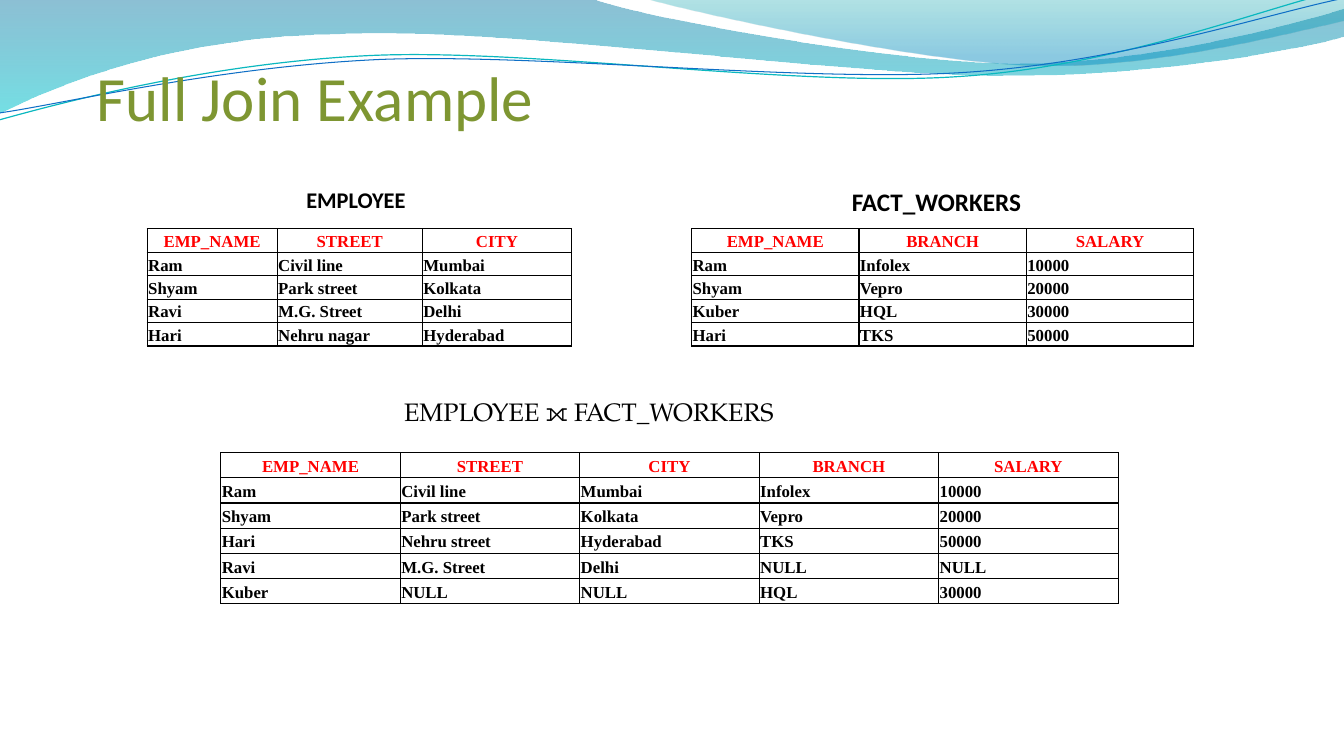
from lxml import etree
from pptx import Presentation
from pptx import util as u
from pptx.dml.color import RGBColor
from pptx.enum import text
from pptx.oxml import ns

# Content
TITLE = "Full Join Example"
EMPLOYEE = [
    ("EMP_NAME", "STREET", "CITY"),
    ("Ram", "Civil line", "Mumbai"),
    ("Shyam", "Park street", "Kolkata"),
    ("Ravi", "M.G. Street", "Delhi"),
    ("Hari", "Nehru nagar", "Hyderabad"),
]
FACT_WORKERS = [
    ("EMP_NAME", "BRANCH", "SALARY"),
    ("Ram", "Infolex", "10000"),
    ("Shyam", "Vepro", "20000"),
    ("Kuber", "HQL", "30000"),
    ("Hari", "TKS", "50000"),
]
FULL_JOIN = [
    ("EMP_NAME", "STREET", "CITY", "BRANCH", "SALARY"),
    ("Ram", "Civil line", "Mumbai", "Infolex", "10000"),
    ("Shyam", "Park street", "Kolkata", "Vepro", "20000"),
    ("Hari", "Nehru street", "Hyderabad", "TKS", "50000"),
    ("Ravi", "M.G. Street", "Delhi", "NULL", "NULL"),
    ("Kuber", "NULL", "NULL", "HQL", "30000"),
]

THEME = {
    "title": ("Calibri", 45, "7E9632", False),
    "employee": ("Calibri", 16, "000000", True),
    "workers": ("Calibri", 18, "000000", True),
    "join": ("TeX Gyre Pagella", 18, "000000", False),
    "header": ("Times New Roman", 12, "FF0000", True),
    "cell": ("Times New Roman", 12, "000000", True),
    "border": "000000",
}

# Places in inches: left, top, column widths, row height
TABLES = [
    (EMPLOYEE, 1.46, 2.27, [1.29, 1.44, 1.48], 0.23),
    (FACT_WORKERS, 6.86, 2.27, [1.66] * 3, 0.23),
    (FULL_JOIN, 2.19, 4.49, [1.78] * 5, 0.25),
]
# Wording, style, box, anchor, wrap
LABELS = [
    ("EMPLOYEE", "employee", (2.94, 1.79, 1.81, 0.37), text.MSO_ANCHOR.MIDDLE, True),
    ("EMPLOYEE ⟗ FACT_WORKERS", "join", (3.91, 3.88, 5.75, 0.44), text.MSO_ANCHOR.TOP, True),
    ("FACT_WORKERS", "workers", (8.35, 1.8, 1.9, 0.4), text.MSO_ANCHOR.TOP, False),
]

# Wave outlines: a pair is a straight step, six numbers are a Bezier step
# Gradient stops: position, colour, opacity in percent
BANDS = [
    ([(0, 0), (5.87, -0.01), (6.34, 0.17, 8.85, 0.63, 10.11, 0.63),
      (11.38, 0.63, 12.78, 0.26, 13.33, 0.09), (13.35, 0.36),
      (13.11, 0.44, 11.6, 0.76, 9.94, 0.75), (8.29, 0.75, 5.09, 0.28, 3.43, 0.34),
      (1.72, 0.36, 0.61, 0.83, -0.01, 1.13)],
     [(0, "0074A1", 45), (1, "00C6CF", 55)]),
    ([(6.39, -0.01), (6.79, 0.11, 9.09, 0.62, 10.25, 0.65),
      (11.41, 0.69, 12.82, 0.32, 13.33, 0.21), (13.33, 0)],
     [(0, "00A1A9", 30), (0.8, "008BBF", 45)]),
]
STRANDS = [
    ([(-0.01, 1.19), (0.64, 1.01, 2.11, 0.62, 3.69, 0.55),
      (5.27, 0.48, 7.9, 0.87, 9.5, 0.76), (11.1, 0.66, 12.52, 0.08, 13.31, -0.1)],
     "0AB8BF", 0.85),
    ([(0, 1.12), (0.63, 1.03, 2.18, 0.66, 3.78, 0.59),
      (5.37, 0.53, 7.96, 0.82, 9.55, 0.72), (11.15, 0.62, 12.55, 0.14, 13.34, -0.02)],
     "0F6FC6", 0.75),
]


def add_wave(page, outline, close):
    """Lay every point as a line step, then join triples into Bezier steps."""
    points = [(u.Inches(x), u.Inches(y))
              for step in outline for x, y in zip(step[::2], step[1::2])]
    builder = page.shapes.build_freeform(*points[0])
    builder.add_line_segments(points[1:], close=close)
    wave = builder.convert_to_shape()
    wave.shadow.inherit = False
    lines = iter(list(wave.element.iter(ns.qn("a:lnTo"))))
    for step in outline[1:]:
        first = next(lines)
        if len(step) == 6:
            curve = etree.Element(ns.qn("a:cubicBezTo"))
            first.addprevious(curve)
            for line in (first, next(lines), next(lines)):
                curve.append(line[0])
                line.getparent().remove(line)
    return wave


def add_band(page, outline, stops):
    band = add_wave(page, outline, True)
    band.line.fill.background()
    band.fill.gradient()
    band.fill.gradient_angle = 270
    for stop, (position, colour, _) in zip(band.fill.gradient_stops, stops):
        stop.position = position
        stop.color.rgb = RGBColor.from_string(colour)
    for tint, (_, _, opacity) in zip(band.element.iter(ns.qn("a:srgbClr")), stops):
        etree.SubElement(tint, ns.qn("a:alpha"), val=str(opacity * 1000))


def add_strand(page, outline, colour, width):
    strand = add_wave(page, outline, False)
    strand.fill.background()
    strand.line.color.rgb = RGBColor.from_string(colour)
    strand.line.width = u.Pt(width)


def write(frame, wording, style, align=text.PP_ALIGN.LEFT):
    para = frame.paragraphs[0]
    para.text = wording
    para.alignment = align
    name, size, colour, bold = THEME[style]
    para.font.name, para.font.size, para.font.bold = name, u.Pt(size), bold
    para.font.color.rgb = RGBColor.from_string(colour)
    return para


def set_borders(cell):
    properties = cell._tc.get_or_add_tcPr()
    for i, side in enumerate(("lnL", "lnR", "lnT", "lnB")):
        line = etree.Element(ns.qn("a:" + side), w=str(u.Pt(1)))
        fill = etree.SubElement(line, ns.qn("a:solidFill"))
        etree.SubElement(fill, ns.qn("a:srgbClr"), val=THEME["border"])
        properties.insert(i, line)


def add_relation(page, rows, left, top, widths, row_height):
    table = page.shapes.add_table(
        len(rows), len(widths), u.Inches(left), u.Inches(top),
        u.Inches(sum(widths)), u.Inches(row_height * len(rows))).table
    table.first_row = table.horz_banding = False
    for column, width in zip(table.columns, widths):
        column.width = u.Inches(width)
    for r, row in enumerate(rows):
        for c, wording in enumerate(row):
            cell = table.cell(r, c)
            cell.fill.background()
            set_borders(cell)
            cell.vertical_anchor = text.MSO_ANCHOR.MIDDLE
            cell.margin_left = cell.margin_right = u.Inches(0.01)
            cell.margin_top = cell.margin_bottom = u.Inches(0.01)
            style, align = (("cell", text.PP_ALIGN.LEFT) if r
                            else ("header", text.PP_ALIGN.CENTER))
            write(cell.text_frame, wording, style, align).line_spacing = 1.15


def main():
    deck = Presentation()
    deck.slide_width, deck.slide_height = u.Inches(13.33), u.Inches(7.5)
    page = deck.slides.add_slide(deck.slide_layouts[5])

    # Waves along the top
    for band in BANDS:
        add_band(page, *band)
    for strand in STRANDS:
        add_strand(page, *strand)

    # Title, brought in front of the waves
    title = page.shapes.title
    title.element.getparent().append(title.element)
    title.left, title.top, title.width, title.height = map(u.Inches, (0.96, 0.72, 7.7, 0.61))
    frame = title.text_frame
    frame.auto_size = text.MSO_AUTO_SIZE.NONE
    frame.vertical_anchor = text.MSO_ANCHOR.BOTTOM
    frame.margin_left = frame.margin_right = frame.margin_bottom = 0
    write(frame, TITLE, "title")

    # Tables and their captions
    for relation in TABLES:
        add_relation(page, *relation)
    for wording, style, box, anchor, wrap in LABELS:
        frame = page.shapes.add_textbox(*map(u.Inches, box)).text_frame
        frame.word_wrap = wrap
        frame.vertical_anchor = anchor
        write(frame, wording, style)

    deck.save("out.pptx")


if __name__ == "__main__":
    main()
